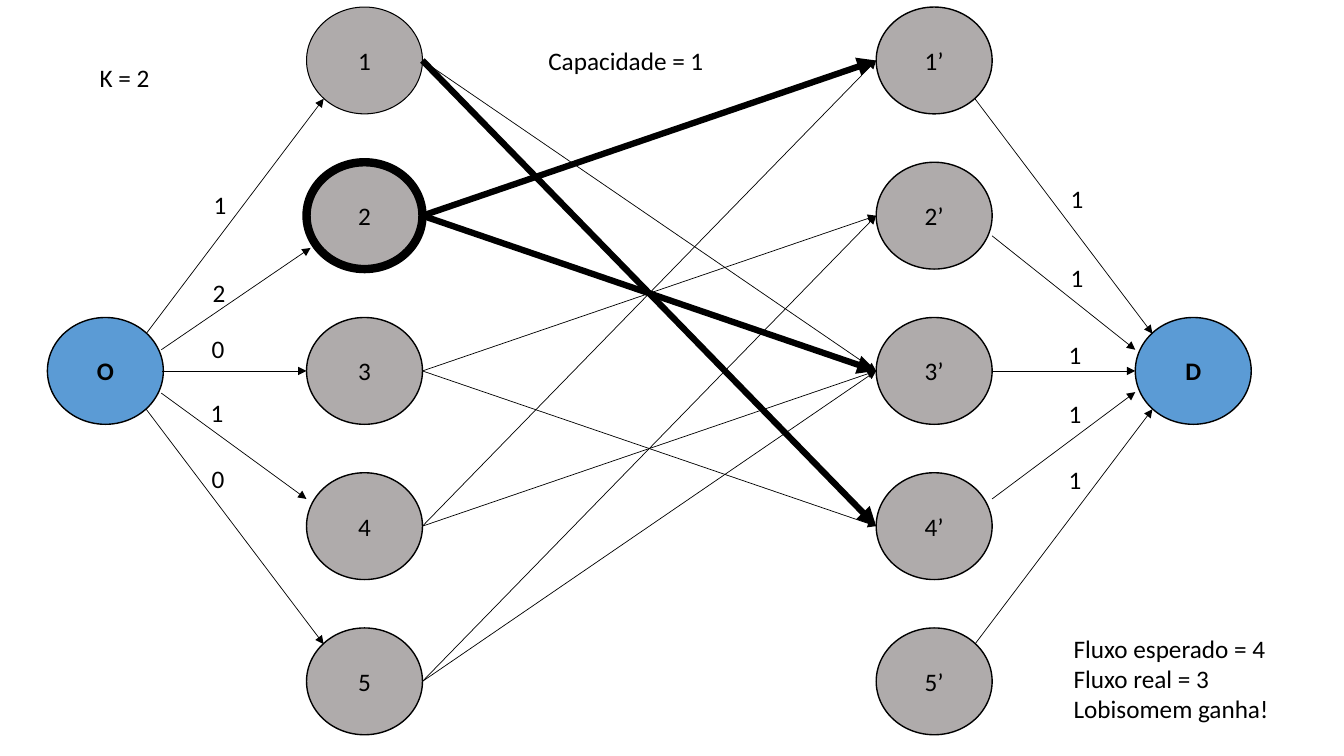
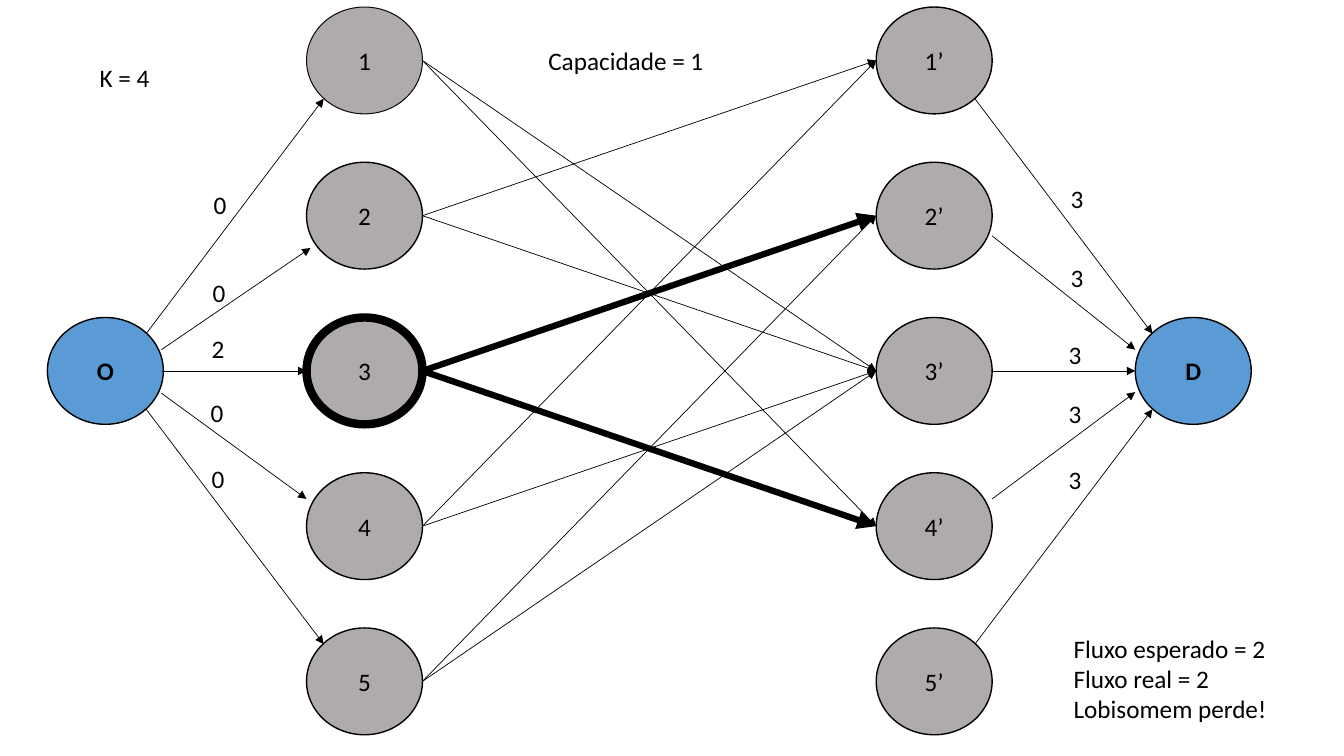
from dataclasses import dataclass

from lxml.etree import SubElement
from pptx import Presentation
from pptx.dml.color import RGBColor
from pptx.enum.shapes import MSO_CONNECTOR as Connector, MSO_SHAPE as Shape
from pptx.enum.text import MSO_ANCHOR as Anchor, MSO_AUTO_SIZE as AutoSize, PP_ALIGN as Align
from pptx.oxml.ns import qn
from pptx.util import Pt

PX = 9144
SLIDE_W, SLIDE_H = 1333, 750

BLACK = RGBColor(0x00, 0x00, 0x00)
NEAR_BLACK = RGBColor(0x0D, 0x0D, 0x0D)
GRAY = RGBColor(0xAF, 0xAB, 0xAB)
BLUE = RGBColor(0x5B, 0x9B, 0xD5)
FONT = "Calibri"
FONT_SIZE = 18

NODE_W, NODE_H = 115, 106
ROW_TOP, ROW_STEP, ROWS = 7, 154, 5
MIDDLE_ROW = 3
SOURCE_X, LEFT_X, RIGHT_X, SINK_X = 47, 304, 869, 1126

SOURCE_EDGES = [
    ((145, 331), (321, 98)),
    ((160, 347), (308, 246)),
    ((161, 368), (304, 368)),
    ((160, 390), (304, 495)),
    ((145, 406), (321, 639)),
]
SINK_EDGES = [
    ((967, 98), (1143, 331)),
    ((984, 234), (1126, 347)),
    ((984, 368), (1126, 368)),
    ((984, 495), (1126, 389)),
    ((967, 639), (1143, 406)),
]
MIDDLE_EDGES = [(1, 3), (1, 4), (2, 1), (2, 3), (3, 2),
                (3, 4), (4, 1), (4, 3), (5, 2), (5, 3)]
SOURCE_LABELS = [(202, 183), (201, 270), (200, 326), (199, 389), (200, 455)]
SINK_LABELS = [(1052, 177), (1052, 255), (1050, 332), (1050, 390), (1050, 456)]


@dataclass
class Network:
    k: int
    source_flows: str
    sink_flows: str
    chosen_node: int
    heavy_edges: set
    first_outline: RGBColor
    result: list


NETWORKS = [
    Network(2, "12010", "11111", 2, {(1, 4), (2, 1), (2, 3)}, BLACK,
            ["Fluxo esperado = 4", "Fluxo real = 3", "Lobisomem ganha!"]),
    Network(4, "00200", "33333", 3, {(3, 2), (3, 4)}, NEAR_BLACK,
            ["Fluxo esperado = 2", "Fluxo real = 2", "Lobisomem perde!"]),
]


def px(*lengths):
    return [round(length * PX) for length in lengths]


def row_top(row):
    return ROW_TOP + ROW_STEP * (row - 1)


def row_middle(row):
    return row_top(row) + NODE_H // 2


def write(frame, *lines, align=Align.LEFT, bold=False):
    for index, line in enumerate(lines):
        paragraph = frame.add_paragraph() if index else frame.paragraphs[0]
        paragraph.alignment = align
        run = paragraph.add_run()
        run.text = line
        run.font.name = FONT
        run.font.size = Pt(FONT_SIZE)
        run.font.bold = bold
        run.font.color.rgb = BLACK


def add_node(slide, name, x, row, fill=GRAY, outline=BLACK, weight=1, bold=False):
    node = slide.shapes.add_shape(Shape.OVAL, *px(x, row_top(row), NODE_W, NODE_H))
    node.shadow.inherit = False
    node.fill.solid()
    node.fill.fore_color.rgb = fill
    node.line.color.rgb = outline
    node.line.width = Pt(weight)
    node.text_frame.vertical_anchor = Anchor.MIDDLE
    write(node.text_frame, name, align=Align.CENTER, bold=bold)


def add_edge(slide, start, end, weight=0.5):
    edge = slide.shapes.add_connector(Connector.STRAIGHT, *px(*start, *end))
    edge.line.color.rgb = BLACK
    edge.line.width = Pt(weight)
    SubElement(edge.line._get_or_add_ln(), qn("a:tailEnd"), type="triangle")
    SubElement(edge._element.spPr, qn("a:effectLst"))


def add_label(slide, x, y, w, h, *lines, wrap=False):
    label = slide.shapes.add_textbox(*px(x, y, w, h))
    label.text_frame.word_wrap = wrap
    label.text_frame.auto_size = AutoSize.SHAPE_TO_FIT_TEXT
    write(label.text_frame, *lines)


def add_nodes(slide, network):
    for row in range(1, ROWS + 1):
        first = row == 1
        weight = 6 if row == network.chosen_node else 0.75 if first else 1
        add_node(slide, f"{row}", LEFT_X, row, weight=weight,
                 outline=network.first_outline if first else BLACK)
        add_node(slide, f"{row}’", RIGHT_X, row)
    for name, x in (("O", SOURCE_X), ("D", SINK_X)):
        add_node(slide, name, x, MIDDLE_ROW, fill=BLUE, bold=True)


def add_edges(slide, network):
    for start, end in SOURCE_EDGES + SINK_EDGES:
        add_edge(slide, start, end)
    for origin, target in MIDDLE_EDGES:
        add_edge(slide, (LEFT_X + NODE_W, row_middle(origin)),
                 (RIGHT_X, row_middle(target)),
                 weight=4.5 if (origin, target) in network.heavy_edges else 0.5)


def add_labels(slide, network):
    add_label(slide, 534, 40, 176, 40, "Capacidade = 1")
    add_label(slide, 89, 57, 70, 40, f"K = {network.k}")
    flows = network.source_flows + network.sink_flows
    for (x, y), flow in zip(SOURCE_LABELS + SINK_LABELS, flows):
        add_label(slide, x, y, 33, 40, flow)
    add_label(slide, 1055, 623, 231, 101, *network.result, wrap=True)


def main():
    deck = Presentation()
    deck.slide_width, deck.slide_height = px(SLIDE_W, SLIDE_H)
    for network in NETWORKS:
        slide = deck.slides.add_slide(deck.slide_layouts[6])
        add_nodes(slide, network)
        add_edges(slide, network)
        add_labels(slide, network)
    deck.save("out.pptx")


if __name__ == "__main__":
    main()
